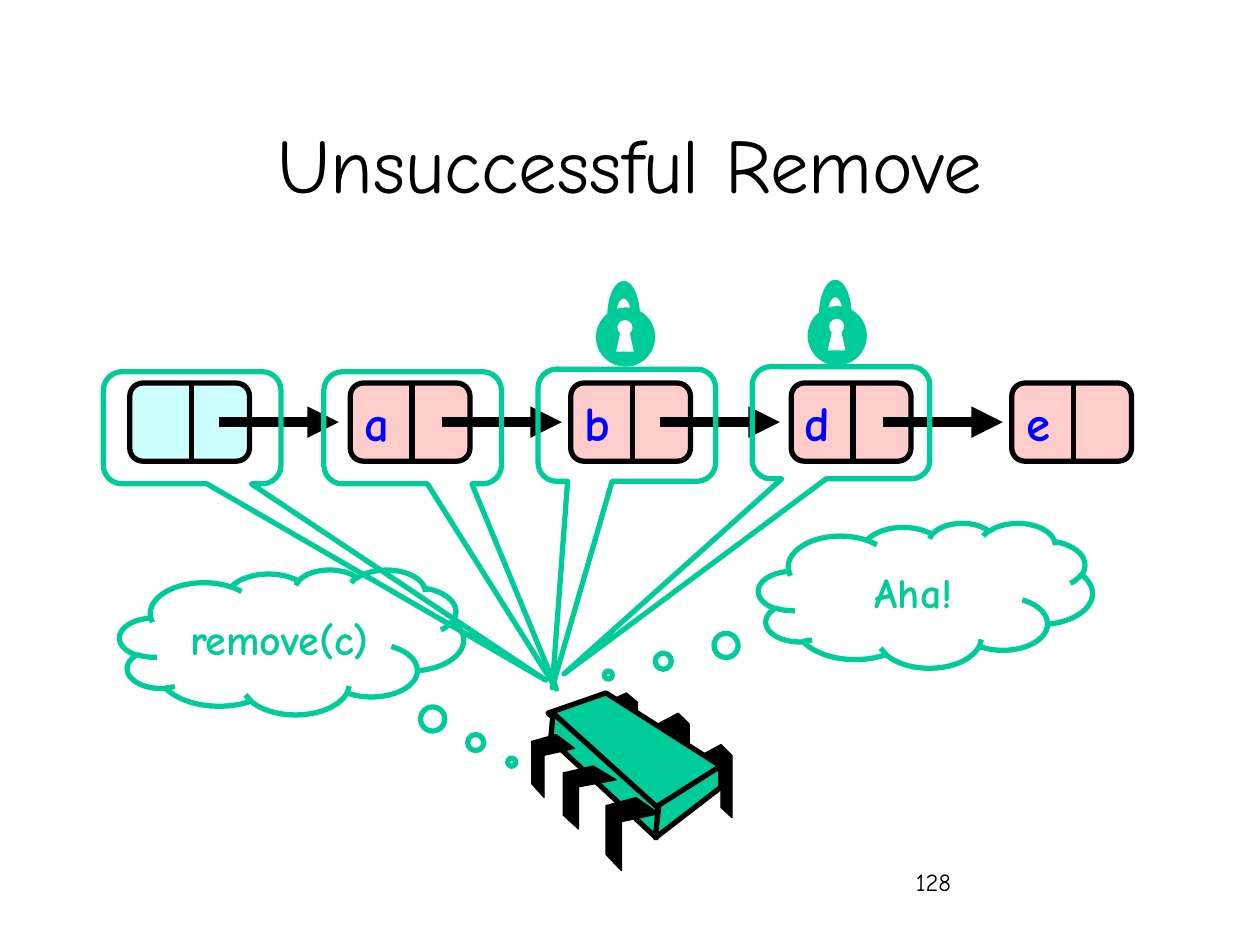
from dataclasses import dataclass
from math import cos, pi, sin

from lxml import etree
from pptx import Presentation
from pptx.dml.color import RGBColor
from pptx.enum.shapes import MSO_CONNECTOR, MSO_SHAPE
from pptx.enum.text import MSO_ANCHOR, MSO_AUTO_SIZE, PP_ALIGN
from pptx.oxml.ns import qn
from pptx.util import Inches, Pt

LINE = MSO_CONNECTOR.STRAIGHT
OVAL = MSO_SHAPE.OVAL
ROUND = MSO_SHAPE.ROUNDED_RECTANGLE
BUBBLE = MSO_SHAPE.ROUNDED_RECTANGULAR_CALLOUT
CLOUD = MSO_SHAPE.CLOUD_CALLOUT
LEFT, CENTER, RIGHT = PP_ALIGN.LEFT, PP_ALIGN.CENTER, PP_ALIGN.RIGHT
TOP, MIDDLE = MSO_ANCHOR.TOP, MSO_ANCHOR.MIDDLE

FONT = "Comic Neue"
BLACK, WHITE, GREEN, BLUE = "000000", "FFFFFF", "00CC99", "0000FF"
PINK, CYAN = "FFCCCC", "CCFFFF"
PITCH = 1.75

Points = list[tuple[float, float]]


@dataclass
class Box:
    x: float
    y: float
    w: float
    h: float


@dataclass
class Node:
    label: str
    fill: str


@dataclass
class Callout:
    box: Box
    tail: tuple[float, float]
    text: str = ""


NODES = [Node("", CYAN), *(Node(name, PINK) for name in "abde")]
ARROWS = [1.74, 3.51, 5.24, 7.01]
BUBBLES = [
    Callout(Box(0.82, 2.95, 1.41, 0.89), (1.99, 2.25)),
    Callout(Box(2.57, 2.95, 1.41, 0.89), (0.81, 2.33)),
    Callout(Box(4.27, 2.93, 1.41, 0.89), (-0.42, 2.34)),
    Callout(Box(5.97, 2.91, 1.41, 0.89), (-1.56, 2.24)),
]
CLOUDS = [
    Callout(Box(0.95, 4.52, 2.73, 1.15), (0.64, 0.83), "remove(c)"),
    Callout(Box(6.02, 4.15, 2.65, 1.15), (-0.95, 0.55), "Aha!"),
]
LOCKS = [(6.41, 2.22), (4.73, 2.23)]
BACK = [(0, 0.15), (0.65, 0), (1, 0.15), (1, 1), (0.65, 0.86), (0.65, 0.28), (0, 0.43)]
FRONT = [(0.57, 0), (1, 0.22), (0.29, 0.33), (0.29, 1), (0, 0.78), (0, 0.11)]
BACK_LEGS = [Box(5.56, 5.91, 0.25, 0.58), Box(5.22, 5.66, 0.25, 0.58), Box(4.81, 5.5, 0.25, 0.5)]
FRONT_LEGS = [Box(4.81, 6.33, 0.42, 0.58), Box(4.47, 6.08, 0.42, 0.5), Box(4.22, 5.83, 0.34, 0.5)]
SIDES = [
    [(4.81, 5.5), (5.72, 6.08), (5.21, 6.43), (4.35, 5.66)],
    [(4.39, 5.66), (5.22, 6.41), (5.21, 6.65), (4.37, 5.87)],
    [(5.72, 6.08), (5.72, 6.25), (5.2, 6.65), (5.23, 6.39)],
]

deck = Presentation()
deck.slide_width, deck.slide_height = Inches(10), Inches(7.5)
slide = deck.slides.add_slide(deck.slide_layouts[5])
shapes = slide.shapes


def color(code: str) -> RGBColor:
    return RGBColor.from_string(code)


def place(box: Box) -> list[int]:
    return [Inches(size) for size in (box.x, box.y, box.w, box.h)]


def paint(shape, fill: str = "", line: str = "", width: float = 3) -> None:
    shape.shadow.inherit = False
    if fill:
        shape.fill.solid()
        shape.fill.fore_color.rgb = color(fill)
    else:
        shape.fill.background()
    if line:
        shape.line.color.rgb = color(line)
        shape.line.width = Pt(width)
    else:
        shape.line.fill.background()


def write(shape, text: str, *, size: float, ink: str = BLACK, bold: bool = False,
          align=LEFT, anchor=TOP, wrap: bool = True) -> None:
    frame = shape.text_frame
    frame.word_wrap = wrap
    frame.auto_size = MSO_AUTO_SIZE.NONE if wrap else MSO_AUTO_SIZE.SHAPE_TO_FIT_TEXT
    frame.vertical_anchor = anchor
    line = frame.paragraphs[0]
    line.alignment = align
    run = line.add_run()
    run.text = text
    run.font.name = FONT
    run.font.size = Pt(size)
    run.font.bold = bold
    run.font.color.rgb = color(ink)


def draw_shape(kind, box: Box, **style):
    shape = shapes.add_shape(kind, *place(box))
    paint(shape, **style)
    return shape


def draw_path(points: Points, **style) -> None:
    start, *rest = [(Inches(x), Inches(y)) for x, y in points]
    path = shapes.build_freeform(*start)
    path.add_line_segments(rest, close=True)
    paint(path.convert_to_shape(), **style)


def draw_line(start: tuple[float, float], end: tuple[float, float],
              width: float, head: bool = False) -> None:
    line = shapes.add_connector(LINE, *map(Inches, (*start, *end)))
    line.line.color.rgb = color(BLACK)
    line.line.width = Pt(width)
    if head:
        etree.SubElement(line.line._get_or_add_ln(), qn("a:tailEnd"), type="triangle")
    etree.SubElement(line._element.spPr, qn("a:effectLst"))


def draw_node(node: Node, x: float) -> None:
    draw_shape(ROUND, Box(x, 3.04, 0.95, 0.62), fill=node.fill, line=BLACK)
    draw_line((x + 0.49, 3.03), (x + 0.49, 3.67), 3)
    if node.label:
        label = shapes.add_textbox(*place(Box(x - 0.02, 3.07, 0.43, 0.57)))
        write(label, node.label, size=28, ink=BLUE, bold=True, align=RIGHT, wrap=False)


def draw_leg(form: Points, box: Box) -> None:
    points = [(box.x + x * box.w, box.y + y * box.h) for x, y in form]
    draw_path(points, fill=BLACK, line=BLACK, width=0.75)


def draw_chip() -> None:
    for box in BACK_LEGS:
        draw_leg(BACK, box)
    for side in SIDES:
        draw_path(side, fill=GREEN, line=BLACK)
    for box in FRONT_LEGS:
        draw_leg(FRONT, box)


def arch(x: float, y: float, wide: float, high: float) -> Points:
    turns = [pi * step / 24 for step in range(25)]
    return [(x - wide * cos(turn), y - high * sin(turn)) for turn in turns]


def draw_lock(x: float, y: float) -> None:
    draw_shape(OVAL, Box(x, y + 0.21, 0.47, 0.47), fill=GREEN)
    draw_shape(OVAL, Box(x + 0.17, y + 0.31, 0.12, 0.12), fill=WHITE)
    slot = [(0.16, 0.56), (0.2, 0.38), (0.26, 0.38), (0.3, 0.56)]
    draw_path([(x + dx, y + dy) for dx, dy in slot], fill=WHITE)
    inner = arch(x + 0.22, y + 0.28, 0.06, 0.14)
    outer = arch(x + 0.22, y + 0.28, 0.13, 0.28)
    draw_path(inner + outer[::-1], fill=GREEN)


def draw_callout(kind, item: Callout) -> None:
    shape = draw_shape(kind, item.box, line=GREEN)
    shape.adjustments[0], shape.adjustments[1] = item.tail
    if item.text:
        write(shape, item.text, size=24, ink=GREEN, bold=True, align=CENTER, anchor=MIDDLE)


def main() -> None:
    title = shapes.title
    title.left, title.top, title.width, title.height = place(Box(0.75, 0.67, 8.5, 1.25))
    write(title, "Unsuccessful Remove", size=44, align=CENTER, anchor=MIDDLE)
    write(shapes.add_textbox(*place(Box(7.17, 6.83, 2.08, 0.5))), "128", size=14)
    draw_shape(OVAL, Box(6.47, 4.86, 1.09, 1.17), fill=WHITE, line=WHITE, width=1)
    for index, node in enumerate(NODES):
        draw_node(node, 1.03 + PITCH * index)
    for x in ARROWS:
        draw_line((x, 3.35), (x + 0.95, 3.35), 6, head=True)
    draw_chip()
    for item in BUBBLES:
        draw_callout(BUBBLE, item)
    for x, y in LOCKS:
        draw_lock(x, y)
    for item in CLOUDS:
        draw_callout(CLOUD, item)
    deck.save("out.pptx")


if __name__ == "__main__":
    main()
